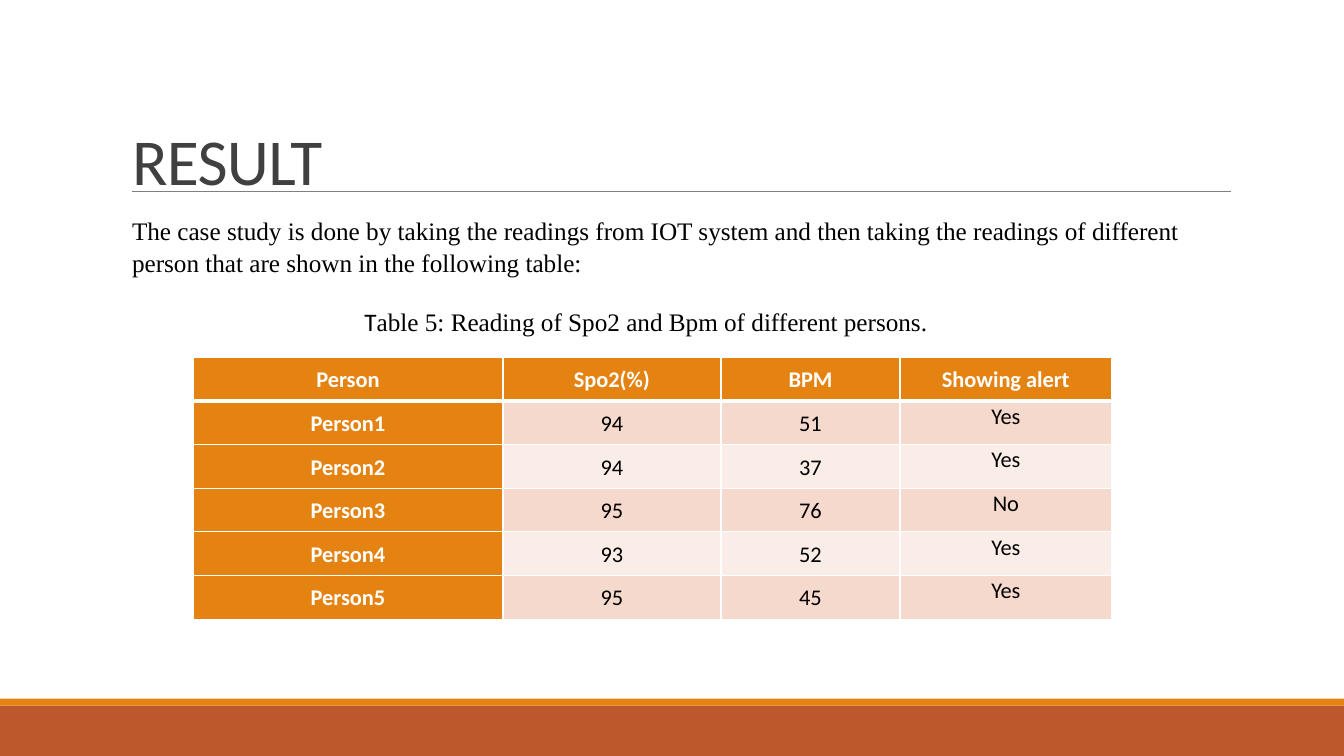
from dataclasses import dataclass

from lxml.etree import SubElement
from pptx import Presentation
from pptx.dml.color import RGBColor
from pptx.enum.shapes import MSO_CONNECTOR as Connector, MSO_SHAPE as Preset
from pptx.enum.text import MSO_ANCHOR as Anchor, PP_ALIGN as Align
from pptx.oxml.ns import qn
from pptx.slide import Slide
from pptx.table import _Cell as Cell
from pptx.text.text import TextFrame, _Paragraph as Paragraph
from pptx.util import Pt


@dataclass(frozen=True)
class Theme:
    orange: str = "E48312"
    rust: str = "BD582C"
    band_dark: str = "F5D9CC"
    band_light: str = "FAEDE7"
    white: str = "FFFFFF"
    black: str = "000000"
    title: str = "404040"
    rule: str = "808080"
    sans: str = "Calibri"
    serif: str = "Times New Roman"
    title_size: float = 46.8
    body_size: float = 18
    table_size: float = 16


@dataclass(frozen=True)
class Box:
    left: float
    top: float
    width: float
    height: float

    def lengths(self) -> tuple[Pt, Pt, Pt, Pt]:
        return Pt(self.left), Pt(self.top), Pt(self.width), Pt(self.height)


@dataclass(frozen=True)
class FooterBand:
    box: Box
    color: str


@dataclass(frozen=True)
class Reading:
    person: str
    spo2: str
    bpm: str
    alert: str

    def values(self) -> tuple[str, str, str, str]:
        return self.person, self.spo2, self.bpm, self.alert


THEME = Theme()
SLIDE_WIDTH, SLIDE_HEIGHT = 960, 540
FOOTER_BANDS = [
    FooterBand(Box(0, 504, SLIDE_WIDTH, 36), THEME.rust),
    FooterBand(Box(0, 499, SLIDE_WIDTH, 5), THEME.orange),
]
HEADER = Reading("Person", "Spo2(%)", "BPM", "Showing alert")
READINGS = [
    Reading("Person1", "94", "51", "Yes"),
    Reading("Person2", "94", "37", "Yes"),
    Reading("Person3", "95", "76", "No"),
    Reading("Person4", "93", "52", "Yes"),
    Reading("Person5", "95", "45", "Yes"),
]
COLUMN_WIDTHS = [221.5, 155.7, 127.9, 151.2]
ROW_HEIGHT = 31.2
INTRODUCTION = (
    "The case study is done by taking the readings from IOT system and then taking "
    "the readings of different person that are shown in the following table:"
)


def add_run(paragraph: Paragraph, text: str, font: str, size: float,
            color: str, bold: bool = False) -> None:
    run = paragraph.add_run()
    run.text = text
    run.font.name = font
    run.font.size = Pt(size)
    run.font.bold = bold
    run.font.color.rgb = RGBColor.from_string(color)


def add_text_frame(slide: Slide, box: Box, anchor: Anchor,
                   top_inset: float, bottom_inset: float) -> TextFrame:
    frame = slide.shapes.add_textbox(*box.lengths()).text_frame
    frame.word_wrap = True
    frame.vertical_anchor = anchor
    frame.margin_left = frame.margin_right = Pt(0)
    frame.margin_top, frame.margin_bottom = Pt(top_inset), Pt(bottom_inset)
    return frame


def add_footer_band(slide: Slide, band: FooterBand) -> None:
    shape = slide.shapes.add_shape(Preset.RECTANGLE, *band.box.lengths())
    shape.shadow.inherit = False
    shape.fill.solid()
    shape.fill.fore_color.rgb = RGBColor.from_string(band.color)
    shape.line.fill.background()


def add_title_rule(slide: Slide) -> None:
    rule = slide.shapes.add_connector(
        Connector.STRAIGHT, Pt(94.3), Pt(136.6), Pt(879), Pt(136.6))
    rule.line.color.rgb = RGBColor.from_string(THEME.rule)
    rule.line.width = Pt(0.5)
    SubElement(rule._element.spPr, qn("a:effectLst"))


def add_title(slide: Slide) -> None:
    frame = add_text_frame(slide, Box(94.3, 31, 697.7, 114.4), Anchor.BOTTOM, 3.6, 3.6)
    paragraph = frame.paragraphs[0]
    paragraph.line_spacing = 0.85
    add_run(paragraph, "RESULT", THEME.sans, THEME.title_size, THEME.title)
    paragraph.runs[0].font._element.set("spc", "-50")


def add_body(slide: Slide) -> None:
    frame = add_text_frame(slide, Box(94.3, 118.8, 781.2, 143.3), Anchor.MIDDLE, 12.2, 0)
    introduction = frame.paragraphs[0]
    introduction.line_spacing = 1.05
    add_run(introduction, INTRODUCTION, THEME.serif, THEME.body_size, THEME.black)
    caption = frame.add_paragraph()
    caption.space_before = Pt(20.5)
    caption._p.get_or_add_pPr().set("marL", str(Pt(166)))
    add_run(caption, "T", THEME.sans, THEME.body_size, THEME.black)
    add_run(caption, "able 5: Reading of Spo2 and Bpm of different persons.",
            THEME.serif, THEME.body_size, THEME.black)


def set_borders(cell: Cell, row: int) -> None:
    properties = cell._tc.get_or_add_tcPr()
    widths = {"lnL": 1, "lnR": 1, "lnT": 3 if row == 1 else 1, "lnB": 3 if row == 0 else 1}
    for side, width in widths.items():
        border = SubElement(properties, qn(f"a:{side}"), w=str(Pt(width)))
        fill = SubElement(border, qn("a:solidFill"))
        SubElement(fill, qn("a:srgbClr"), val=THEME.white)


def fill_cell(cell: Cell, text: str, row: int, column: int) -> None:
    heading = row == 0 or column == 0
    band = THEME.band_dark if row % 2 else THEME.band_light
    set_borders(cell, row)
    cell.fill.solid()
    cell.fill.fore_color.rgb = RGBColor.from_string(THEME.orange if heading else band)
    cell.margin_left = cell.margin_right = Pt(5)
    cell.margin_top = cell.margin_bottom = Pt(0)
    alert_value = row > 0 and column == len(COLUMN_WIDTHS) - 1
    cell.vertical_anchor = Anchor.TOP if alert_value else Anchor.MIDDLE
    paragraph = cell.text_frame.paragraphs[0]
    paragraph.alignment = Align.CENTER
    paragraph.line_spacing = 1.07
    add_run(paragraph, text, THEME.sans, THEME.table_size,
            THEME.white if heading else THEME.black, heading)


def add_readings_table(slide: Slide) -> None:
    records = [HEADER, *READINGS]
    box = Box(137.8, 255.2, sum(COLUMN_WIDTHS), ROW_HEIGHT * len(records))
    table = slide.shapes.add_table(len(records), len(COLUMN_WIDTHS), *box.lengths()).table
    for column, width in zip(table.columns, COLUMN_WIDTHS):
        column.width = Pt(width)
    for row, record in enumerate(records):
        table.rows[row].height = Pt(ROW_HEIGHT)
        for column, text in enumerate(record.values()):
            fill_cell(table.cell(row, column), text, row, column)


def main() -> None:
    presentation = Presentation()
    presentation.slide_width = Pt(SLIDE_WIDTH)
    presentation.slide_height = Pt(SLIDE_HEIGHT)
    slide = presentation.slides.add_slide(presentation.slide_layouts[6])
    for band in FOOTER_BANDS:
        add_footer_band(slide, band)
    add_title_rule(slide)
    add_title(slide)
    add_readings_table(slide)
    add_body(slide)
    presentation.save("out.pptx")


if __name__ == "__main__":
    main()
